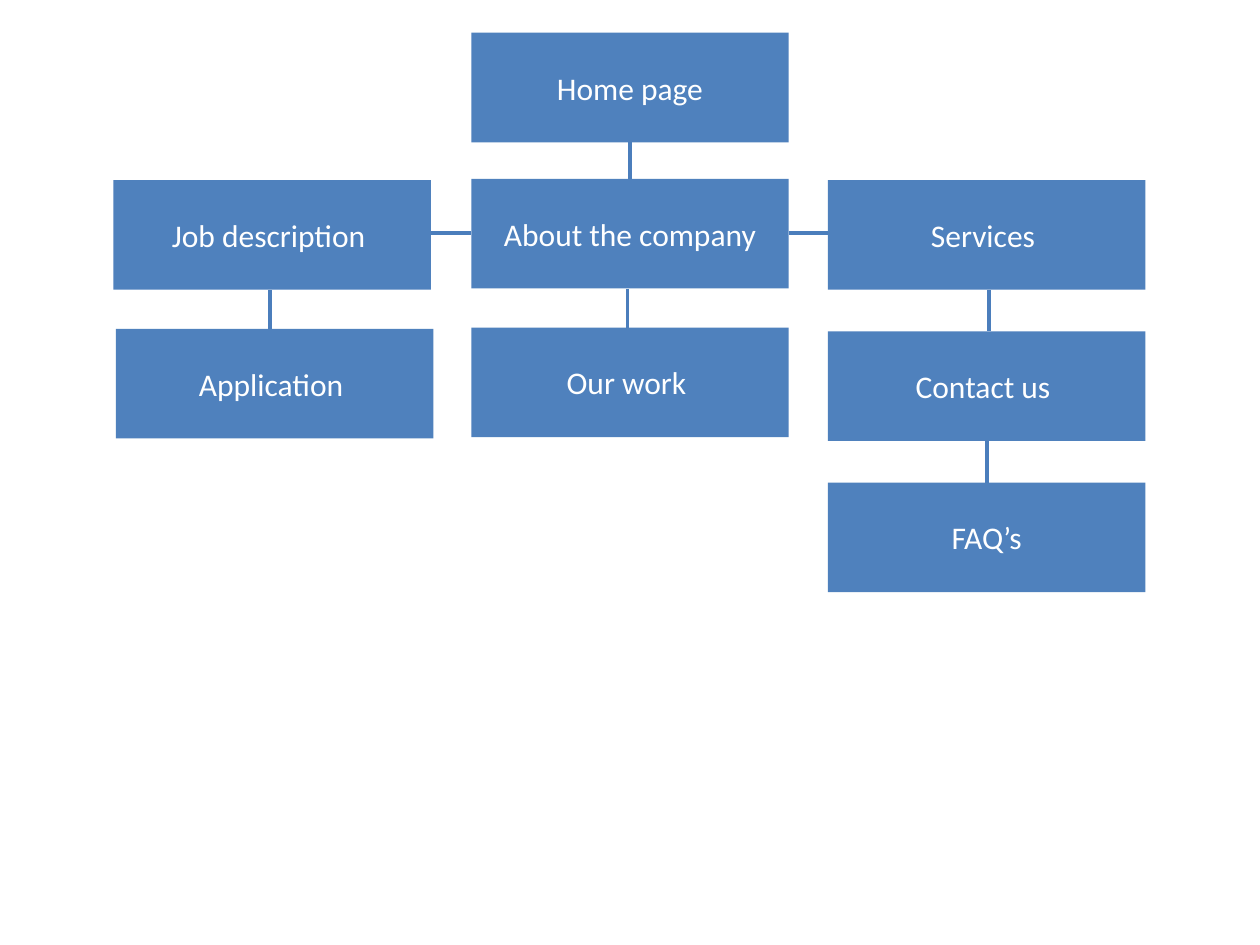
from dataclasses import dataclass
from pptx import Presentation
from pptx.dml.color import RGBColor
from pptx.enum.shapes import MSO_CONNECTOR, MSO_SHAPE
from pptx.enum.text import MSO_ANCHOR, PP_ALIGN
from pptx.oxml.ns import qn
from pptx.util import Inches, Pt
from lxml import etree

LINE = MSO_CONNECTOR.STRAIGHT
RECT = MSO_SHAPE.RECTANGLE
MIDDLE = MSO_ANCHOR.MIDDLE
CENTER = PP_ALIGN.CENTER


@dataclass(frozen=True)
class Theme:
    fill: str = "4F81BD"
    line: str = "4B7EBC"
    ink: str = "FFFFFF"
    font: str = "Calibri"
    size: float = 18
    weight: float = 2.25


THEME = Theme()
WIDE, HIGH = 2.52, 0.87
LEFT, MID, RIGHT = 0.9, 3.74, 6.57
SIDE = 1.85

PAGES = {
    "home": ("Home page", MID, 0.26),
    "about": ("About the company", MID, 1.42),
    "work": ("Our work ", MID, 2.6),
    "job": ("Job description ", LEFT, 1.43),
    "apply": ("Application ", LEFT + 0.02, 2.61),
    "serve": ("Services ", RIGHT, 1.43),
    "contact": ("Contact us ", RIGHT, 2.63),
    "faq": ("FAQ’s", RIGHT, 3.83),
}
DOWN = [
    ("home", "about", 5),
    ("about", "work", 4.98),
    ("job", "apply", 2.14),
    ("serve", "contact", 7.85),
    ("contact", "faq", 7.83),
]
ACROSS = [("job", "about"), ("about", "serve")]


def color(code):
    return RGBColor.from_string(code)


def write(shape, text, size=THEME.size, font=THEME.font, ink=THEME.ink, align=CENTER):
    frame = shape.text_frame
    frame.word_wrap = True
    frame.vertical_anchor = MIDDLE
    para = frame.paragraphs[0]
    para.alignment = align
    run = para.add_run()
    run.text = text
    run.font.size = Pt(size)
    run.font.name = font
    run.font.color.rgb = color(ink)


def join(slide, *ends):
    link = slide.shapes.add_connector(LINE, *map(Inches, ends))
    link.line.color.rgb = color(THEME.line)
    link.line.width = Pt(THEME.weight)
    etree.SubElement(link._element.spPr, qn("a:effectLst"))


def box(slide, text, left, top):
    shape = slide.shapes.add_shape(RECT, *map(Inches, (left, top, WIDE, HIGH)))
    shape.shadow.inherit = False
    shape.fill.solid()
    shape.fill.fore_color.rgb = color(THEME.fill)
    shape.line.fill.background()
    write(shape, text)


deck = Presentation()
deck.slide_width, deck.slide_height = Inches(10), Inches(7.5)
slide = deck.slides.add_slide(deck.slide_layouts[6])

for upper, lower, x in DOWN:
    join(slide, x, PAGES[upper][2] + HIGH, x, PAGES[lower][2])
for first, second in ACROSS:
    join(slide, PAGES[first][1] + WIDE, SIDE, PAGES[second][1], SIDE)
for page in PAGES.values():
    box(slide, *page)

deck.save("out.pptx")
